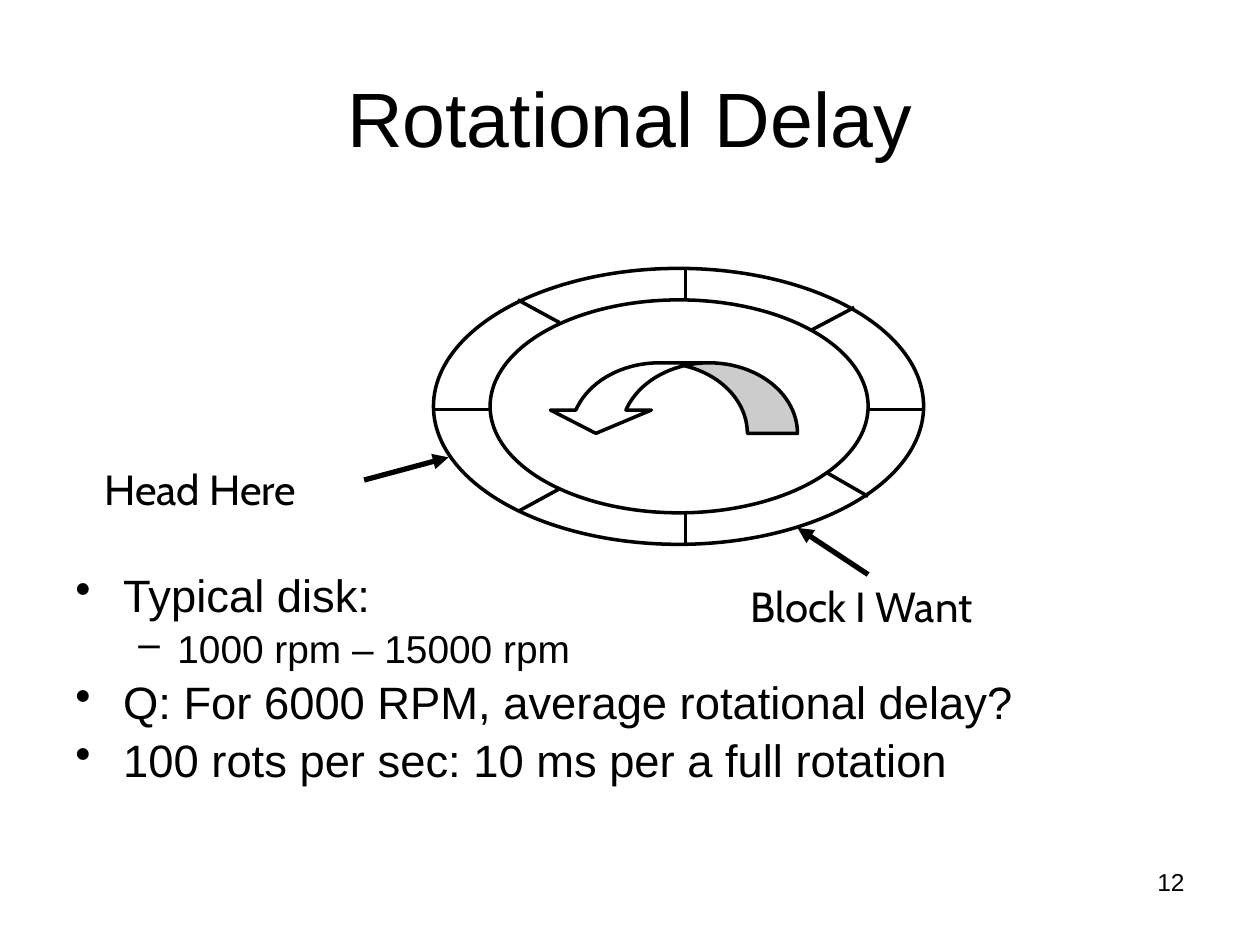
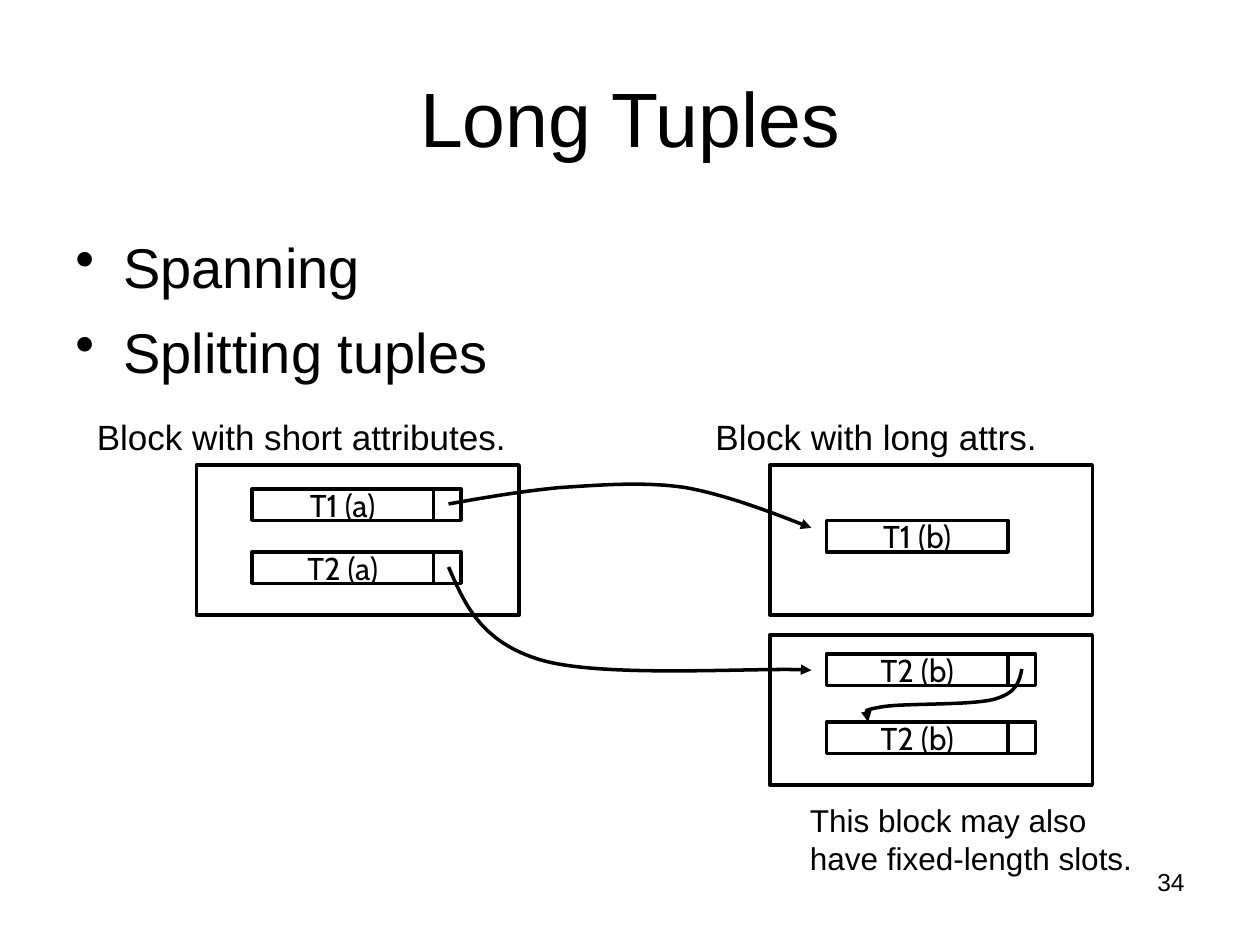
from dataclasses import dataclass

from lxml import etree
from pptx import Presentation
from pptx import util as u
from pptx.dml.color import RGBColor
from pptx.enum import shapes, text
from pptx.oxml import ns

PX = 9144
INK = RGBColor(0x00, 0x00, 0x00)
PAPER = RGBColor(0xFF, 0xFF, 0xFF)
BODY_FONT = "Arial"
LABEL_FONT = "Cabin"


@dataclass(frozen=True)
class Box:
    left: int
    top: int
    width: int
    height: int

    def emu(self) -> tuple[int, ...]:
        return tuple(n * PX for n in (self.left, self.top, self.width, self.height))


@dataclass(frozen=True)
class Bullet:
    text: str
    size: float
    before: float = 0
    spacing: float = 1.0
    mark: str = "•"
    indent: int = 38
    hang: int = 38


@dataclass(frozen=True)
class Line:
    start: tuple[int, int]
    end: tuple[int, int]


@dataclass(frozen=True)
class TupleSlot:
    label: str
    left: int
    top: int
    has_pointer: bool = True


TITLE = Box(50, 30, 900, 125)
PAGE_NUMBER = Box(717, 683, 233, 52)

TRACK_EDGES = (Box(344, 213, 389, 219), Box(389, 238, 300, 169))
ROTATION = Box(433, 288, 200, 56)
SECTOR_LINES = (
    Line((544, 213), (544, 238)), Line((544, 406), (544, 431)),
    Line((689, 325), (733, 325)), Line((344, 325), (389, 325)),
    Line((644, 262), (678, 244)), Line((411, 406), (444, 388)),
    Line((656, 375), (689, 394)), Line((411, 238), (444, 256)),
)
POINTERS = (Line((289, 381), (356, 363)), Line((689, 456), (633, 419)))
DISK_LABELS = (("Head Here", Box(73, 363, 200, 50)),
               ("Block I Want", Box(586, 456, 261, 50)))
DISK_FACTS = (
    Bullet("Typical disk:", 25.9, 0, 0.84),
    Bullet("1000 rpm – 15000 rpm", 22.2, 6, 0.84, "–", 81, 31),
    Bullet("Q: For 6000 RPM, average rotational delay?", 25.9, 7, 0.84),
    Bullet("100 rots per sec: 10 ms per a full rotation", 25.9, 7, 0.84),
)

BLOCK_WIDTH, BLOCK_HEIGHT = 256, 119
BLOCK_CORNERS = ((156, 369), (611, 504), (611, 369))
SLOT_WIDTH, POINTER_WIDTH, SLOT_HEIGHT = 144, 22, 25
SLOTS = (
    TupleSlot("T1 (a)", 200, 388),
    TupleSlot("T2 (a)", 200, 438),
    TupleSlot("T1 (b)", 656, 413, has_pointer=False),
    TupleSlot("T2 (b)", 656, 519),
    TupleSlot("T2 (b)", 656, 573),
)
CONTINUATIONS = (
    ((356, 400), (384, 395), (413, 390), (444, 387), (476, 385),
     (511, 382), (544, 387), (578, 393), (631, 414), (644, 419)),
    ((356, 450), (369, 480), (382, 510), (430, 524), (479, 538), (611, 529), (644, 532)),
    ((811, 531), (809, 541), (807, 550), (789, 555), (770, 560),
     (717, 558), (700, 561), (683, 564), (686, 569), (689, 573)),
)
BLOCK_NOTES = (
    ("Block with short attributes.", 20, Box(67, 325, 478, 31)),
    ("Block with long attrs.", 20, Box(558, 325, 319, 31)),
    ("This block may also have fixed-length slots.", 18, Box(633, 631, 291, 100)),
)
TUPLE_METHODS = (Bullet("Spanning", 32), Bullet("Splitting tuples", 32, 10))


def style_run(paragraph, wording: str, size: float, font: str) -> None:
    run = paragraph.add_run()
    run.text = wording
    run.font.size = u.Pt(size)
    run.font.name = font
    run.font.color.rgb = INK


def write(frame, wording: str, *, size: float, font: str = BODY_FONT,
          align=text.PP_ALIGN.LEFT, anchor=text.MSO_ANCHOR.TOP) -> None:
    frame.word_wrap = True
    frame.vertical_anchor = anchor
    paragraph = frame.paragraphs[0]
    paragraph.alignment = align
    style_run(paragraph, wording, size, font)


def add_text(slide, box: Box, wording: str, **style) -> None:
    write(slide.shapes.add_textbox(*box.emu()).text_frame, wording, **style)


def add_bullets(slide, box: Box, bullets: tuple[Bullet, ...]) -> None:
    frame = slide.shapes.add_textbox(*box.emu()).text_frame
    frame.word_wrap = True
    for position, bullet in enumerate(bullets):
        paragraph = frame.add_paragraph() if position else frame.paragraphs[0]
        paragraph.line_spacing = bullet.spacing
        paragraph.space_before = u.Pt(bullet.before)
        properties = paragraph._p.get_or_add_pPr()
        properties.set("marL", str(bullet.indent * PX))
        properties.set("indent", str(-bullet.hang * PX))
        mark = etree.SubElement(properties, ns.qn("a:buChar"))
        mark.set("char", bullet.mark)
        style_run(paragraph, bullet.text, bullet.size, BODY_FONT)


def outline(part, weight: float = 2, arrow: bool = False) -> None:
    part.line.color.rgb = INK
    part.line.width = u.Pt(weight)
    if arrow:
        tail = etree.SubElement(part.line._get_or_add_ln(), ns.qn("a:tailEnd"))
        tail.set("type", "triangle")


def add_outlined(slide, kind, box: Box):
    part = slide.shapes.add_shape(kind, *box.emu())
    part.shadow.inherit = False
    part.fill.solid()
    part.fill.fore_color.rgb = PAPER
    outline(part)
    return part


def add_line(slide, line: Line, weight: float = 2, arrow: bool = False) -> None:
    ends = (n * PX for n in line.start + line.end)
    connector = slide.shapes.add_connector(shapes.MSO_CONNECTOR.STRAIGHT, *ends)
    outline(connector, weight, arrow)
    etree.SubElement(connector._element.spPr, ns.qn("a:effectLst"))


def add_curve(slide, points: tuple[tuple[int, int], ...]) -> None:
    builder = slide.shapes.build_freeform(*points[0], scale=PX)
    builder.add_line_segments(points[1:], close=False)
    curve = builder.convert_to_shape()
    curve.shadow.inherit = False
    curve.fill.background()
    outline(curve, arrow=True)
    segments = list(curve._element.iter(ns.qn("a:lnTo")))
    for first in range(0, len(segments), 3):
        bezier = etree.SubElement(segments[first].getparent(), ns.qn("a:cubicBezTo"))
        for segment in segments[first:first + 3]:
            bezier.append(segment[0])
            segment.getparent().remove(segment)


def add_slide(deck, title: str, number: int):
    slide = deck.slides.add_slide(deck.slide_layouts[6])
    slide.background.fill.solid()
    slide.background.fill.fore_color.rgb = PAPER
    add_text(slide, PAGE_NUMBER, str(number), size=14, align=text.PP_ALIGN.RIGHT)
    add_text(slide, TITLE, title, size=44, align=text.PP_ALIGN.CENTER,
             anchor=text.MSO_ANCHOR.MIDDLE)
    return slide


def draw_rotational_delay(deck) -> None:
    slide = add_slide(deck, "Rotational Delay", 12)
    add_bullets(slide, Box(50, 452, 900, 218), DISK_FACTS)
    for edge in TRACK_EDGES:
        add_outlined(slide, shapes.MSO_SHAPE.OVAL, edge)
    for sector_line in SECTOR_LINES:
        add_line(slide, sector_line)
    rotation = add_outlined(slide, shapes.MSO_SHAPE.CURVED_DOWN_ARROW, ROTATION)
    for index, share in enumerate((0.71, 1.43, 0.33)):
        rotation.adjustments[index] = share
    rotation._element.spPr.xfrm.set("flipH", "1")
    for pointer in POINTERS:
        add_line(slide, pointer, weight=3, arrow=True)
    for label, box in DISK_LABELS:
        add_text(slide, box, label, size=24, font=LABEL_FONT)


def add_slot(slide, slot: TupleSlot) -> None:
    body = add_outlined(slide, shapes.MSO_SHAPE.RECTANGLE,
                        Box(slot.left, slot.top, SLOT_WIDTH, SLOT_HEIGHT))
    write(body.text_frame, slot.label, size=18, font=LABEL_FONT,
          align=text.PP_ALIGN.CENTER, anchor=text.MSO_ANCHOR.MIDDLE)
    if slot.has_pointer:
        add_outlined(slide, shapes.MSO_SHAPE.RECTANGLE,
                     Box(slot.left + SLOT_WIDTH, slot.top, POINTER_WIDTH, SLOT_HEIGHT))


def draw_long_tuples(deck) -> None:
    slide = add_slide(deck, "Long Tuples", 34)
    add_bullets(slide, Box(50, 180, 900, 490), TUPLE_METHODS)
    for left, top in BLOCK_CORNERS:
        add_outlined(slide, shapes.MSO_SHAPE.RECTANGLE,
                     Box(left, top, BLOCK_WIDTH, BLOCK_HEIGHT))
    for slot in SLOTS:
        add_slot(slide, slot)
    for points in CONTINUATIONS:
        add_curve(slide, points)
    for note, size, box in BLOCK_NOTES:
        add_text(slide, box, note, size=size)


def main() -> None:
    deck = Presentation()
    deck.slide_width, deck.slide_height = 1000 * PX, 750 * PX
    draw_rotational_delay(deck)
    draw_long_tuples(deck)
    deck.save("out.pptx")


if __name__ == "__main__":
    main()
